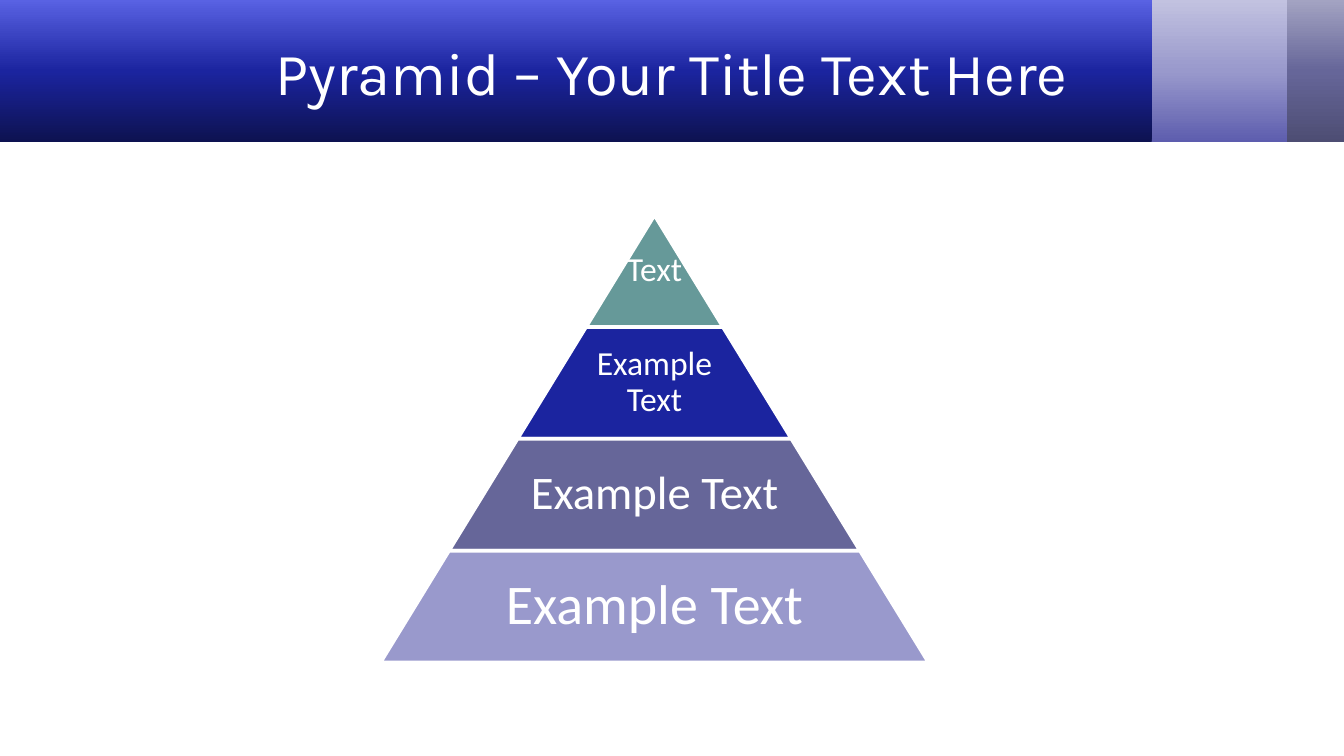
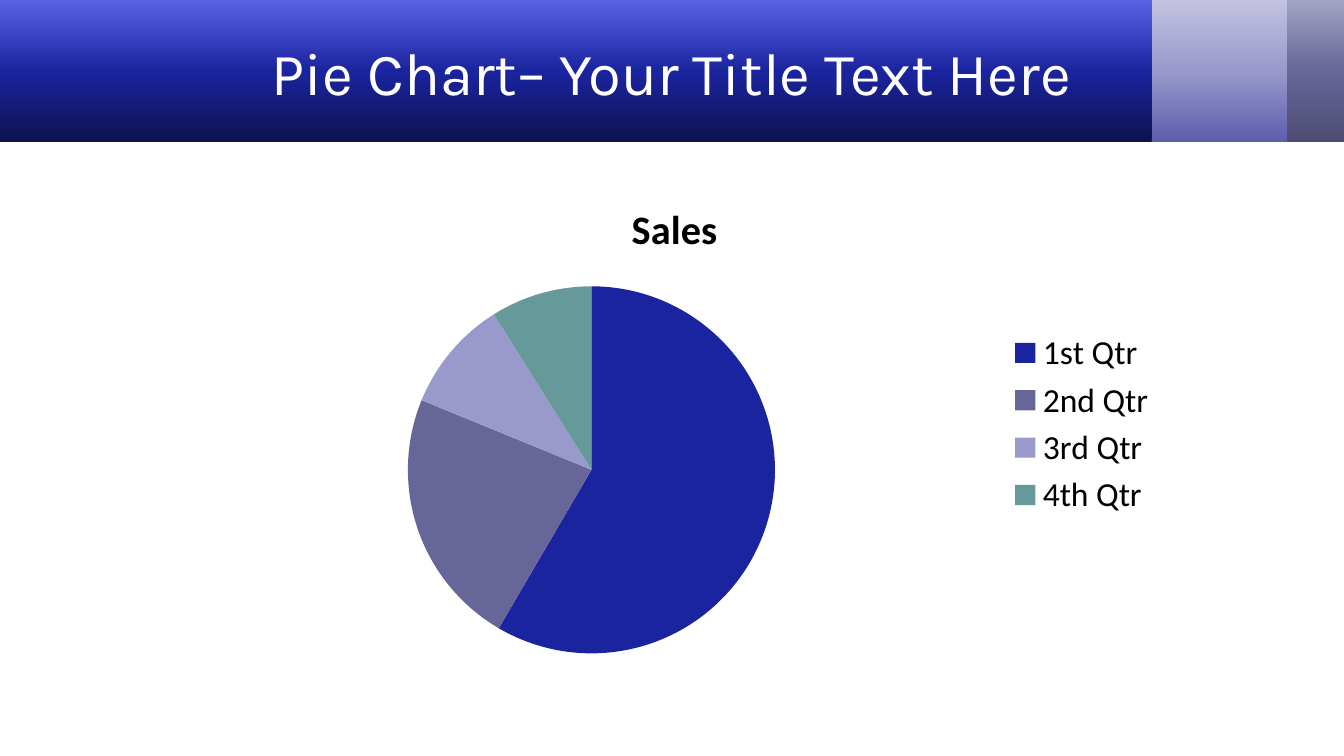
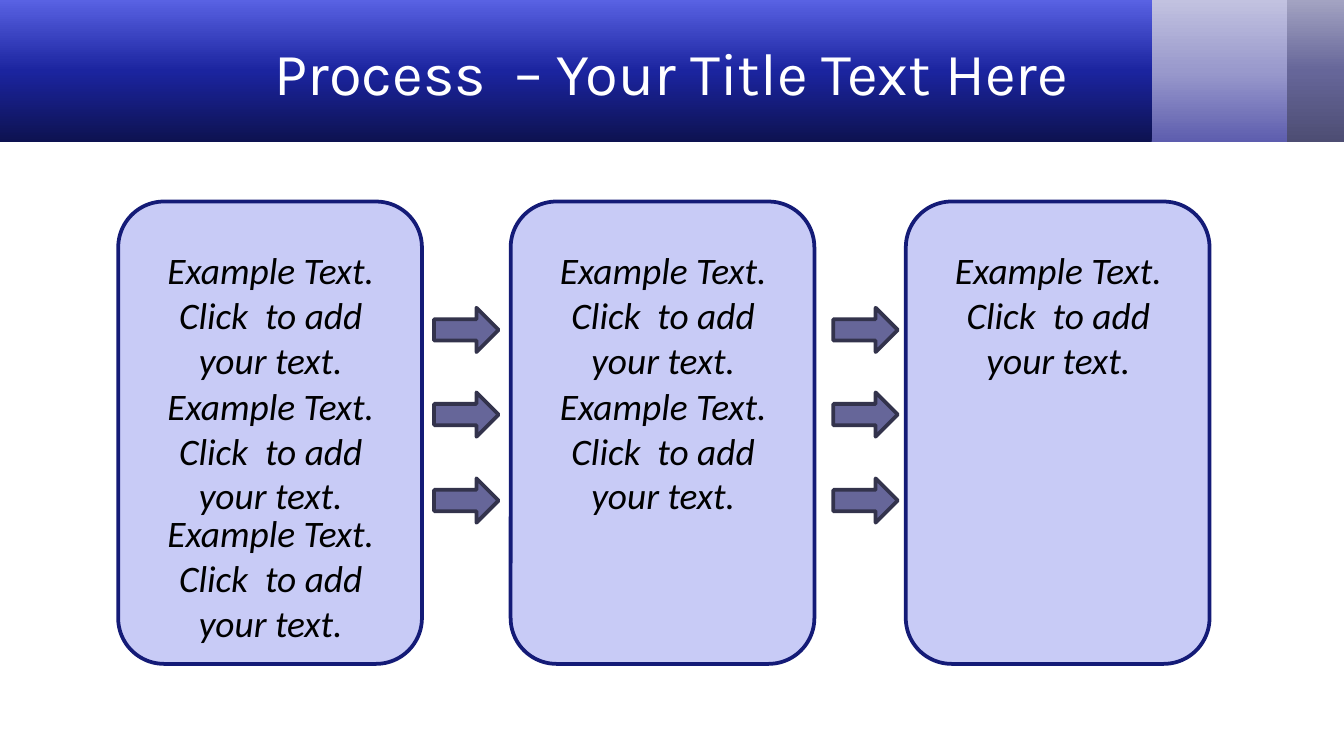
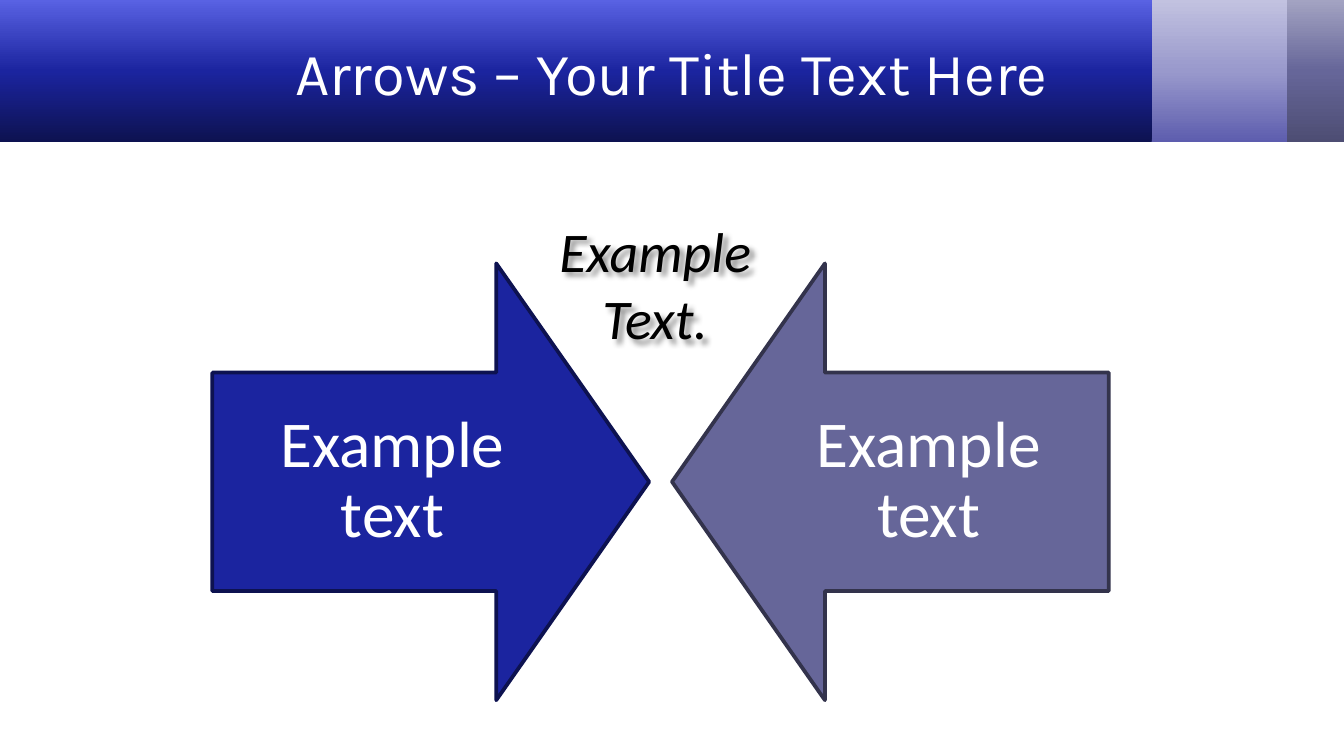
from copy import deepcopy
from dataclasses import dataclass

from lxml import etree
from pptx import Presentation
from pptx.chart.data import CategoryChartData
from pptx.dml.color import RGBColor
from pptx.enum.chart import XL_CHART_TYPE, XL_LEGEND_POSITION
from pptx.enum.shapes import MSO_SHAPE
from pptx.enum.text import MSO_ANCHOR, MSO_AUTO_SIZE, PP_ALIGN
from pptx.oxml import parse_xml
from pptx.util import Inches, Pt


@dataclass(frozen=True)
class Theme:
    white: str = "FFFFFF"
    black: str = "000000"
    blue: str = "1B249F"
    blue_edge: str = "0D1250"
    slate: str = "666699"
    slate_edge: str = "33334C"
    lilac: str = "9999CC"
    teal: str = "669999"
    card: str = "C8CBF6"
    card_edge: str = "141B77"
    heading: str = "Karla"
    body: str = "Calibri"
    title_size: float = 32
    chart_size: float = 18
    chart_title_size: float = 21.6
    card_size: float = 20
    caption_size: float = 30
    arrow_size: float = 35
    line_width: float = 2


T = Theme()


def put_text(sp, text, size, color=T.white, font=T.body, italic=False,
             spacing=None, inset=(0.1, 0.05), anchor=MSO_ANCHOR.MIDDLE):
    tf = sp.text_frame
    tf.word_wrap = True
    tf.auto_size = MSO_AUTO_SIZE.NONE
    tf.vertical_anchor = anchor
    tf.margin_left = tf.margin_right = Inches(inset[0])
    tf.margin_top = tf.margin_bottom = Inches(inset[1])
    tf.text = text
    for p in tf.paragraphs:
        p.alignment = PP_ALIGN.CENTER
        p.line_spacing = spacing
        for r in p.runs:
            r.font.size = Pt(size)
            r.font.name = font
            r.font.italic = italic
            r.font.color.rgb = RGBColor.from_string(color)


def add_block(s, kind, box, fill, line, adjustments):
    sp = s.shapes.add_shape(kind, *map(Inches, box))
    sp.shadow.inherit = False
    sp.fill.solid()
    sp.fill.fore_color.rgb = RGBColor.from_string(fill)
    sp.line.color.rgb = RGBColor.from_string(line)
    sp.line.width = Pt(T.line_width)
    for i, value in enumerate(adjustments):
        sp.adjustments[i] = value
    return sp


prs = Presentation()
prs.slide_width = Inches(10)
prs.slide_height = prs.slide_width * 9 // 16
layout = prs.slide_layouts[5]

titles = [
    "Pyramid – Your Title Text Here",
    "Pie Chart– Your Title Text Here",
    "Process  – Your Title Text Here",
    "Arrows – Your Title Text Here",
]
slides = []
for title in titles:
    s = prs.slides.add_slide(layout)
    sp = s.shapes.title
    sp.left, sp.top, sp.width, sp.height = map(Inches, (0.5, 0.06, 9, 0.94))
    put_text(sp, title, T.title_size, font=T.heading)
    slides.append(s)
pyramid, pie, process, arrows = slides

bands = [
    (9.43, 0.58, ("4D4D73", T.slate, "A3A3C2")),
    (8.53, 1.05, ("5D5DAE", T.lilac, "C2C2E0")),
    (0, 8.57, (T.blue_edge, T.blue, "5962E3")),
]
for i, (x, w, colors) in enumerate(bands):
    sp = pyramid.shapes.add_shape(MSO_SHAPE.RECTANGLE, Inches(x), 0, Inches(w), Inches(1.06))
    sp.shadow.inherit = False
    sp.line.fill.background()
    sp.fill.gradient()
    sp.fill.gradient_angle = 90
    first = sp.fill.gradient_stops[0]._gs
    first.addnext(deepcopy(first))
    for stop, color, position in zip(sp.fill.gradient_stops, colors, (0, 0.5, 1)):
        stop.color.rgb = RGBColor.from_string(color)
        stop.position = position
    sp._element.nvSpPr.cNvPr.set("id", str(101 + i))
    prs.slide_master.shapes._spTree.insert(2 + i, sp._element)

levels = [
    ("Text", 18, T.teal, 1.02),
    ("Example Text", 18, T.blue, 1.33),
    ("Example Text", 25, T.slate, 1.99),
    ("Example Text", 30, T.lilac, 2.65),
]
center, level_h = 4.87, 3.33 / len(levels)
for i, (text, size, color, label_w) in enumerate(levels):
    w, y = 1.02 * (i + 1), 1.6 + level_h * i
    add_block(pyramid, MSO_SHAPE.TRAPEZOID, (center - w / 2, y, w, level_h),
              color, T.white, [0.613])
    label = pyramid.shapes.add_textbox(
        *map(Inches, (center - label_w / 2, y, label_w, level_h)))
    put_text(label, text, size, spacing=0.9, inset=(0.03, 0.03))

data = CategoryChartData()
data.categories = ["1st Qtr", "2nd Qtr", "3rd Qtr", "4th Qtr"]
data.add_series("Sales", (59, 23, 10, 9))
chart = pie.shapes.add_chart(
    XL_CHART_TYPE.PIE, *map(Inches, (1.33, 1.31, 7.38, 3.69)), data).chart
chart.font.size = Pt(T.chart_size)
chart.font.name = T.body
chart.font.color.rgb = RGBColor.from_string(T.black)
chart.has_title = True
chart.chart_title.include_in_layout = False
tf = chart.chart_title.text_frame
tf.text = "Sales"
font = tf.paragraphs[0].runs[0].font
font.size = Pt(T.chart_title_size)
font.name = T.body
font.bold = True
font.color.rgb = RGBColor.from_string(T.black)
chart.has_legend = True
chart.legend.position = XL_LEGEND_POSITION.RIGHT
chart.legend.include_in_layout = False
plot = chart.plots[0]
plot.vary_by_categories = True
for i, color in enumerate((T.blue, T.slate, T.lilac, T.teal)):
    fill = plot.series[0].points[i].format.fill
    fill.solid()
    fill.fore_color.rgb = RGBColor.from_string(color)

card_lefts = (0.88, 3.8, 6.74)
step_tops = (1.79, 2.8, 3.75)
for x in card_lefts:
    add_block(process, MSO_SHAPE.ROUNDED_RECTANGLE, (x, 1.5, 2.26, 3.44),
              T.card, T.card_edge, [0.151])
for x in (3.23, 6.2):
    for y in (2.29, 2.92, 3.56):
        add_block(process, MSO_SHAPE.RIGHT_ARROW, (x, y, 0.48, 0.33),
                  T.slate, T.slate_edge, [0.482, 0.5])
for i, x in enumerate(card_lefts):
    for y in step_tops[:3 - i]:
        step = process.shapes.add_textbox(*map(Inches, (x + 0.13, y, 2.01, 1.11)))
        put_text(step, "Example Text.\nClick  to add your text.", T.card_size,
                 color=T.black, italic=True, anchor=MSO_ANCHOR.TOP)

facing = [
    (1.58, 270, T.blue, T.blue_edge, 1.58),
    (5, 90, T.slate, T.slate_edge, 5.57),
]
for x, rotation, color, edge, label_x in facing:
    sp = add_block(arrows, MSO_SHAPE.DOWN_ARROW, (x, 1.96, 3.25, 3.25),
                   color, edge, [0.5, 0.35])
    sp.rotation = rotation
    label = arrows.shapes.add_textbox(*map(Inches, (label_x, 2.77, 2.68, 1.62)))
    put_text(label, "Example text", T.arrow_size, spacing=0.9, inset=(0.27, 0.27))

caption = arrows.shapes.add_textbox(*map(Inches, (3.63, 1.56, 2.49, 1.11)))
put_text(caption, "Example Text.", T.caption_size, color=T.black, italic=True,
         inset=(0.3, 0.05), anchor=MSO_ANCHOR.TOP)
ns = "http://schemas.openxmlformats.org/drawingml/2006/main"
effects = etree.Element(f"{{{ns}}}effectLst")
shadow = etree.SubElement(effects, f"{{{ns}}}outerShdw", blurRad="38100", dist="38100",
                          dir="2700000", algn="tl")
shade = etree.SubElement(shadow, f"{{{ns}}}srgbClr", val=T.black)
etree.SubElement(shade, f"{{{ns}}}alpha", val="43000")
caption._element.spPr.append(parse_xml(etree.tostring(effects)))

prs.save("out.pptx")
